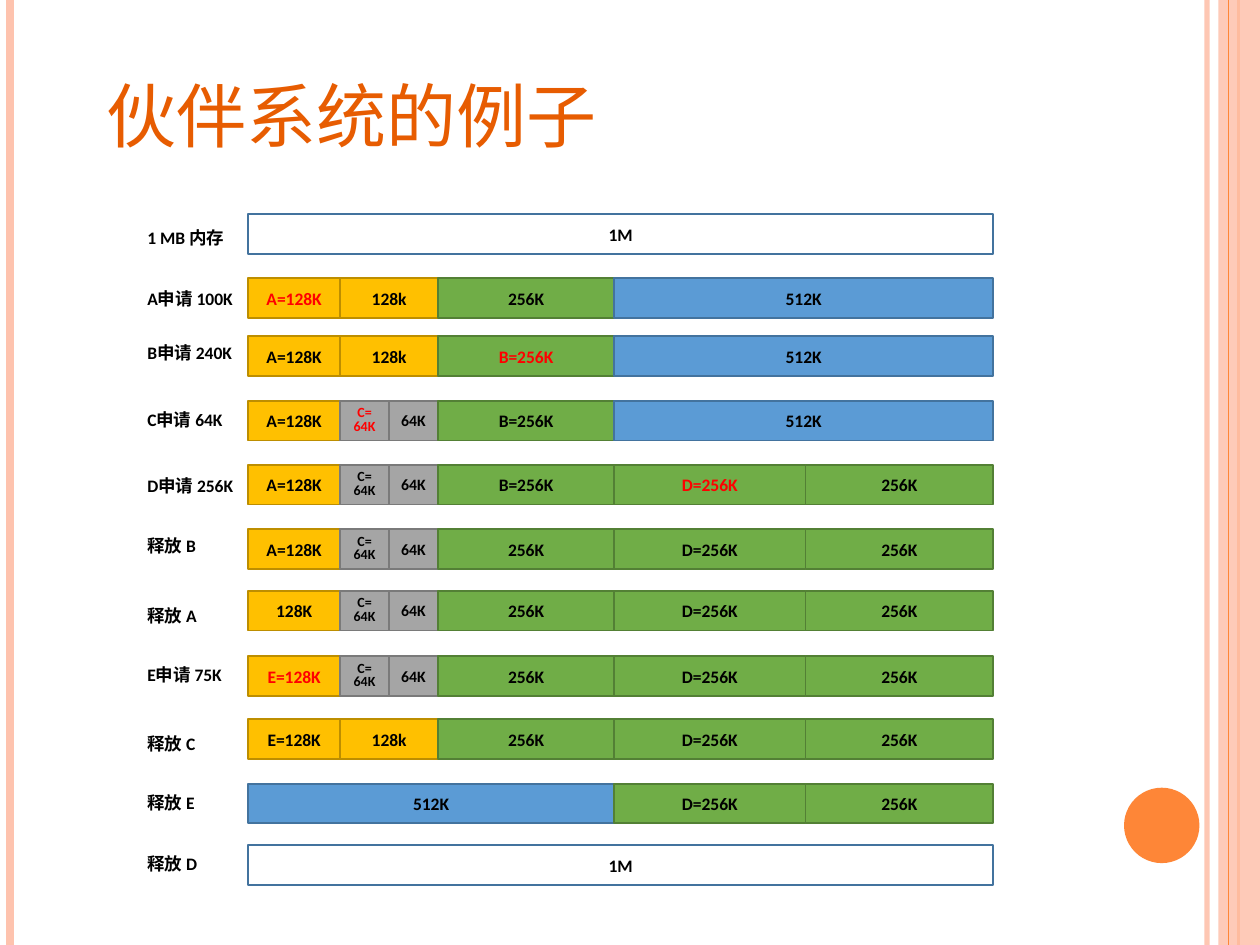
"""Build the buddy system example slide."""
from lxml.etree import SubElement
from pptx import Presentation
from pptx.dml.color import RGBColor
from pptx.enum.shapes import MSO_CONNECTOR, MSO_SHAPE
from pptx.enum.text import MSO_ANCHOR, MSO_AUTO_SIZE, PP_ALIGN
from pptx.oxml.ns import qn
from pptx.util import Cm, Pt

BLACK = RGBColor(0x00, 0x00, 0x00)
RED = RGBColor(0xFF, 0x00, 0x00)
TITLE = RGBColor(0xE7, 0x5C, 0x01)
ORANGE = RGBColor(0xFE, 0x86, 0x37)
PINK = RGBColor(0xFE, 0xC3, 0xAE)
CJK = "Noto Sans CJK SC"

SIZE_COLORS = {
    64: (RGBColor(0xA5, 0xA5, 0xA5), RGBColor(0x7A, 0x7A, 0x7A)),
    128: (RGBColor(0xFF, 0xC0, 0x00), RGBColor(0xBD, 0x8E, 0x00)),
    256: (RGBColor(0x70, 0xAD, 0x47), RGBColor(0x53, 0x80, 0x35)),
    512: (RGBColor(0x5B, 0x9B, 0xD5), RGBColor(0x43, 0x73, 0x9E)),
    1024: (RGBColor(0xFF, 0xFF, 0xFF), RGBColor(0x43, 0x73, 0x9E)),
}
ADDRESS_X = {0: 5, 128: 6.86, 192: 7.84, 256: 8.83, 512: 12.38, 768: 16.24, 1024: 20.02}

FREE_1M = [("1M", 1024)]
FREE_128, FREE_256, FREE_512 = ("128k", 128), ("256K", 256), ("512K", 512)
A, B, D, E = ("A=128K", 128), ("B=256K", 256), ("D=256K", 256), ("E=128K", 128)
C_PAIR = [("C=\n64K", 64), ("64K", 64)]
UPPER = [D, FREE_256]

# label, label top, bar top, blocks, newly allocated owner
ROWS = [
    ("1 MB 内存", 4.45, 4.32, FREE_1M, None),
    ("A申请 100K", 5.69, 5.61, [A, FREE_128, FREE_256, FREE_512], "A"),
    ("B申请 240K", 6.78, 6.78, [A, FREE_128, B, FREE_512], "B"),
    ("C申请 64K", 8.13, 8.08, [A, *C_PAIR, B, FREE_512], "C"),
    ("D申请 256K", 9.45, 9.37, [A, *C_PAIR, B, *UPPER], "D"),
    ("释放 B", 10.67, 10.67, [A, *C_PAIR, FREE_256, *UPPER], None),
    ("释放 A", 12.07, 11.91, [("128K", 128), *C_PAIR, FREE_256, *UPPER], None),
    ("E申请 75K", 13.26, 13.23, [E, *C_PAIR, FREE_256, *UPPER], "E"),
    ("释放 C", 14.66, 14.5, [E, FREE_128, FREE_256, *UPPER], None),
    ("释放 E", 15.85, 15.8, [FREE_512, *UPPER], None),
    ("释放 D", 17.07, 17.04, FREE_1M, None),
]
RULES = [(24.33, PINK, 3, 93), (0.2, PINK, 4.5, 100), (24.97, ORANGE, 1.5, 100), (24.77, ORANGE, 0.75, 100)]


def write(tf, text, size=10, color=BLACK, bold=True, font="Calibri",
          align=PP_ALIGN.CENTER, anchor=MSO_ANCHOR.MIDDLE, spacing=None):
    tf.vertical_anchor = anchor
    for i, line in enumerate(text.split("\n")):
        p = tf.paragraphs[0] if i == 0 else tf.add_paragraph()
        p.alignment = align
        if spacing:
            p.line_spacing = spacing
        r = p.add_run()
        r.text = line
        r.font.size, r.font.bold, r.font.name = Pt(size), bold, font
        r.font.color.rgb = color
        SubElement(r.font._element, qn("a:ea"), typeface=CJK)


def set_alpha(shape, percent):
    color = next(shape._element.spPr.iter(qn("a:srgbClr")))
    SubElement(color, qn("a:alpha"), val=str(percent * 1000))


def add_rule(s, x, color, width, alpha):
    line = s.shapes.add_connector(MSO_CONNECTOR.STRAIGHT, Cm(x), 0, Cm(x), Cm(19.05))
    line.line.color.rgb = color
    line.line.width = Pt(width)
    if alpha < 100:
        set_alpha(line, alpha)
    SubElement(line._element.spPr, qn("a:effectLst"))


def add_filled(s, kind, x, y, w, h, fill, border=None):
    sp = s.shapes.add_shape(kind, Cm(x), Cm(y), Cm(w), Cm(h))
    sp.shadow.inherit = False
    sp.fill.solid()
    sp.fill.fore_color.rgb = fill
    if border is None:
        sp.line.fill.background()
    else:
        sp.line.color.rgb = border
        sp.line.width = Pt(1)
    return sp


def add_block(s, text, size, start, top, is_new):
    left, right = ADDRESS_X[start], ADDRESS_X[start + size]
    sp = add_filled(s, MSO_SHAPE.RECTANGLE, left, top, right - left, 0.8, *SIZE_COLORS[size])
    tf = sp.text_frame
    tf.margin_left = tf.margin_right = tf.margin_top = tf.margin_bottom = 0
    stacked = "\n" in text
    points = 8 if stacked else 9 if size == 64 else 10
    write(tf, text, size=points, color=RED if is_new else BLACK, spacing=0.8 if stacked else None)


def add_row(s, label, label_top, top, blocks, owner):
    box = s.shapes.add_textbox(Cm(2.72), Cm(label_top), Cm(2.5), Cm(0.68))
    box.text_frame.word_wrap = False
    write(box.text_frame, label, align=PP_ALIGN.LEFT, anchor=MSO_ANCHOR.TOP)
    start = 0
    for text, size in blocks:
        add_block(s, text, size, start, top, owner is not None and text.startswith(f"{owner}="))
        start += size


def main():
    prs = Presentation()
    prs.slide_width, prs.slide_height = Cm(25.4), Cm(19.05)
    s = prs.slides.add_slide(prs.slide_layouts[5])
    for rule in RULES[:3]:
        add_rule(s, *rule)
    band = add_filled(s, MSO_SHAPE.RECTANGLE, 24.56, 0, 0.84, 19.05, PINK)
    set_alpha(band, 87)
    add_rule(s, *RULES[3])
    add_filled(s, MSO_SHAPE.OVAL, 22.66, 15.88, 1.52, 1.52, ORANGE)

    title = s.shapes.title
    title.left, title.top, title.width, title.height = Cm(1.9), Cm(0.74), Cm(20.35), Cm(2.54)
    title.text_frame.auto_size = MSO_AUTO_SIZE.NONE
    write(title.text_frame, "伙伴系统的例子", size=40, color=TITLE, bold=False, font=CJK,
          align=PP_ALIGN.LEFT, anchor=MSO_ANCHOR.BOTTOM)
    for row in ROWS:
        add_row(s, *row)
    prs.save("out.pptx")


if __name__ == "__main__":
    main()
